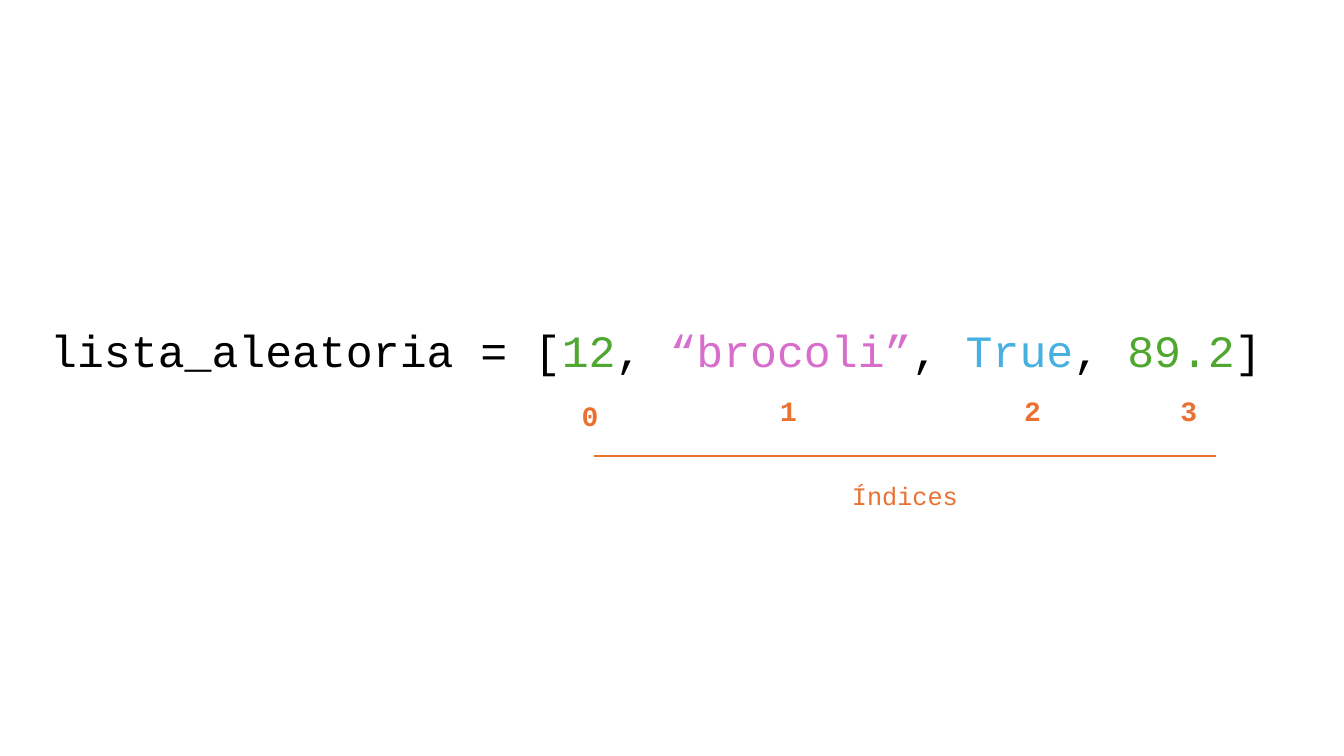
"""Build a slide that shows a Python list and the index of each element."""
from lxml.etree import SubElement
from pptx import Presentation
from pptx.dml.color import RGBColor
from pptx.enum.shapes import MSO_CONNECTOR as Connector, MSO_SHAPE as Shape
from pptx.enum.text import MSO_AUTO_SIZE as AutoSize, PP_ALIGN as Align
from pptx.oxml.ns import qn
from pptx.util import Inches, Pt

WIDTH, HEIGHT = 13.33, 7.5
FONT = "Courier New"
BLACK, WHITE, ORANGE = "000000", "FFFFFF", "E97132"
GREEN, PINK, BLUE = "4EA72E", "D86ECC", "46B1E1"

CODE = [
    ("lista_aleatoria = [", BLACK),
    ("12", GREEN),
    (", ", BLACK),
    ("“brocoli”", PINK),
    (", ", BLACK),
    ("True", BLUE),
    (", ", BLACK),
    ("89.2", GREEN),
    ("]", BLACK),
]
INDEX_POSITIONS = [(5.67, 3.9), (7.64, 3.85), (10.06, 3.85), (11.61, 3.85)]
INDEX_SIZE = 0.44
CAPTION = "Índices"
LEFT = 0.03 * WIDTH
RULE_LEFT = INDEX_POSITIONS[0][0] + INDEX_SIZE / 2
RULE_WIDTH, RULE_TOP = 6.17, 4.52


def color(value):
    """Turn a hex string into a colour."""
    return RGBColor.from_string(value)


def add_text(slide, runs, left, top, width, height, size=18, bold=False, align=Align.LEFT):
    """Add a one-paragraph text box made of (text, colour) runs."""
    box = slide.shapes.add_textbox(*map(Inches, (left, top, width, height)))
    frame = box.text_frame
    frame.word_wrap = True
    frame.auto_size = AutoSize.SHAPE_TO_FIT_TEXT
    paragraph = frame.paragraphs[0]
    paragraph.alignment = align
    for text, run_color in runs:
        run = paragraph.add_run()
        run.text = text
        run.font.name = FONT
        run.font.size = Pt(size)
        run.font.bold = bold
        run.font.color.rgb = color(run_color)


def add_panel(slide):
    """Add the white panel behind the code."""
    panel = slide.shapes.add_shape(
        Shape.RECTANGLE, *map(Inches, (LEFT, 2.59, 12.49, 2.84)))
    panel.shadow.inherit = False
    panel.fill.solid()
    panel.fill.fore_color.rgb = color(WHITE)
    panel.line.color.rgb = color(WHITE)
    panel.line.width = Pt(1.5)


def add_rule(slide):
    """Add the line under the indices."""
    rule = slide.shapes.add_connector(
        Connector.STRAIGHT,
        *map(Inches, (RULE_LEFT, RULE_TOP, RULE_LEFT + RULE_WIDTH, RULE_TOP)))
    rule.line.color.rgb = color(ORANGE)
    rule.line.width = Pt(1.5)
    SubElement(rule._element.spPr, qn("a:effectLst"))


def main():
    """Build and save the slide."""
    presentation = Presentation()
    presentation.slide_width = Inches(WIDTH)
    presentation.slide_height = Inches(HEIGHT)
    slide = presentation.slides.add_slide(presentation.slide_layouts[6])

    add_panel(slide)
    add_text(slide, CODE, LEFT, 3.15, 12.27, 0.64, size=32)
    for index, (left, top) in enumerate(INDEX_POSITIONS):
        add_text(slide, [(str(index), ORANGE)], left, top, INDEX_SIZE, INDEX_SIZE,
                 size=20, bold=True)
    add_rule(slide)
    add_text(slide, [(CAPTION, ORANGE)], RULE_LEFT, RULE_TOP + 0.2, RULE_WIDTH, 0.4,
             align=Align.CENTER)
    presentation.save("out.pptx")


if __name__ == "__main__":
    main()
